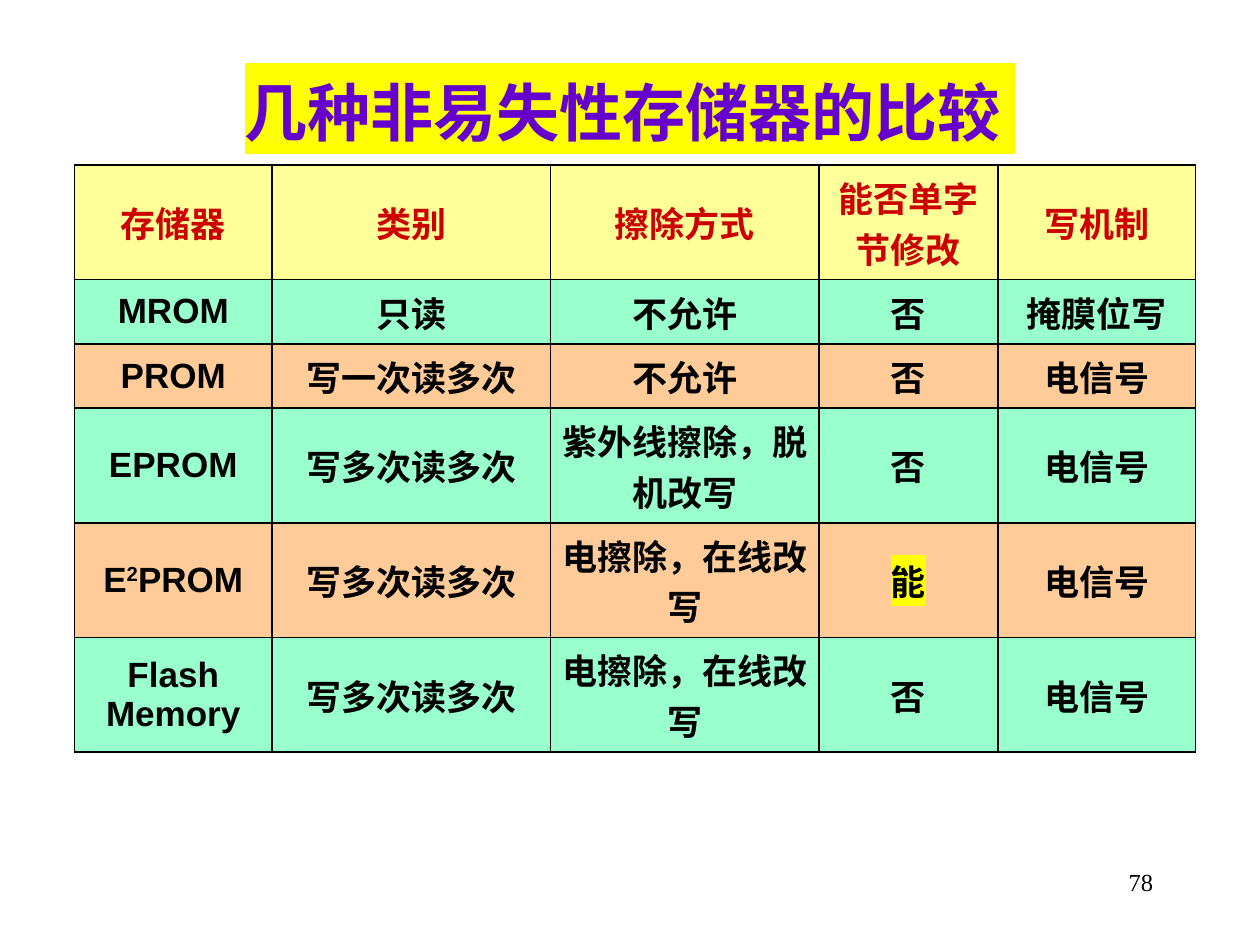
"""Build a slide with a table comparing non-volatile memories."""
from lxml import etree
from pptx import Presentation, util as u
from pptx.dml.color import RGBColor
from pptx.enum import text
from pptx.oxml import ns, parse_xml


def color(value):
    return RGBColor.from_string(value)


def style_paragraph(paragraph, alignment, font_name, size, fill, bold=True, highlight=None):
    paragraph.alignment = alignment
    for run in paragraph.runs:
        run.font.name, run.font.size, run.font.bold = font_name, u.Pt(size), bold
        run.font.color.rgb = color(fill)
        if highlight:
            mark = etree.Element(ns.qn("a:highlight"))
            etree.SubElement(mark, ns.qn("a:srgbClr"), val=highlight)
            run._r.rPr.find(ns.qn("a:solidFill")).addnext(mark)


presentation = Presentation()
presentation.slide_width, presentation.slide_height = u.Inches(10), u.Inches(7.5)
slide = presentation.slides.add_slide(presentation.slide_layouts[6])
column, row = presentation.slide_width // 1000, presentation.slide_height // 750
center, right = text.PP_ALIGN.CENTER, text.PP_ALIGN.RIGHT
yellow = "FFFF00"

labels = [
    ("78", (717, 683, 208, 50), text.MSO_ANCHOR.TOP, (right, "Times New Roman", 14, "000000", False)),
    ("几种非易失性存储器的比较 ", (75, 52, 850, 72), text.MSO_ANCHOR.MIDDLE,
     (center, "Times New Roman", 36, "6600CC", True, yellow)),
]
for words, (left, top, width, height), anchor, style in labels:
    box = slide.shapes.add_textbox(left * column, top * row, width * column, height * row)
    box.text_frame.word_wrap = True
    box.text_frame.vertical_anchor = anchor
    box.text_frame.text = words
    style_paragraph(box.text_frame.paragraphs[0], *style)

records = [
    ("存储器", "类别", "擦除方式", "能否单字节修改", "写机制"),
    ("MROM", "只读", "不允许", "否", "掩膜位写"),
    ("PROM", "写一次读多次", "不允许", "否", "电信号"),
    ("EPROM", "写多次读多次", "紫外线擦除，脱机改写", "否", "电信号"),
    ("E2PROM", "写多次读多次", "电擦除，在线改写", "能", "电信号"),
    ("Flash Memory", "写多次读多次", "电擦除，在线改写", "否", "电信号"),
]
column_widths = [157, 221, 213, 142, 157]
one_line, two_lines = 51, 91
row_heights = [two_lines, one_line, one_line, two_lines, two_lines, two_lines]
row_fills = ["FFFF99", "99FFCC", "FFCC99", "99FFCC", "FFCC99", "99FFCC"]

table = slide.shapes.add_table(len(records), len(column_widths), 59 * column, 131 * row,
                               sum(column_widths) * column, sum(row_heights) * row).table
table.first_row = table.horz_banding = False
for table_column, width in zip(table.columns, column_widths):
    table_column.width = width * column
for table_row, height, fill, record in zip(table.rows, row_heights, row_fills, records):
    table_row.height = height * row
    for cell, words in zip(table_row.cells, record):
        cell.vertical_anchor = text.MSO_ANCHOR.MIDDLE
        cell.margin_left = cell.margin_right = 2 * column
        cell.margin_top = cell.margin_bottom = 5 * row
        paragraph = cell.text_frame.paragraphs[0]
        if words == "E2PROM":
            for part in ("E", "2", "PROM"):
                paragraph.add_run().text = part
            paragraph.runs[1]._r.get_or_add_rPr().set("baseline", "30000")
        else:
            paragraph.text = words
        style_paragraph(paragraph, center, "Arial", 20, "CC0000" if record is records[0] else "000000",
                        highlight=yellow if words == "能" else None)
        properties = cell._tc.get_or_add_tcPr()
        for side in ("lnL", "lnR", "lnT", "lnB"):
            properties.append(parse_xml(
                f'<a:{side} {ns.nsdecls("a")} w="12700"><a:solidFill>'
                f'<a:srgbClr val="000000"/></a:solidFill></a:{side}>'))
        cell.fill.solid()
        cell.fill.fore_color.rgb = color(fill)

presentation.save("out.pptx")
